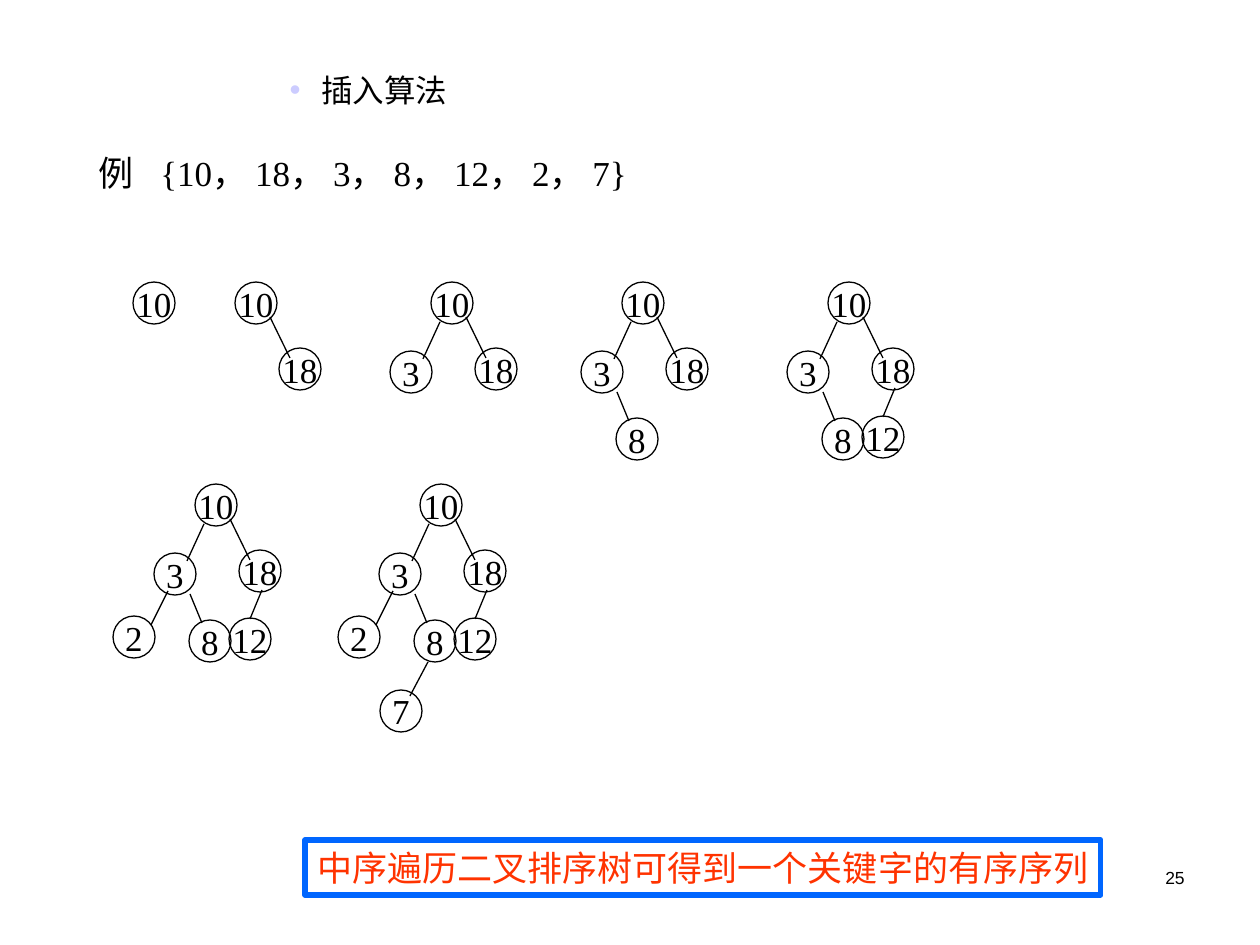
import pptx
import pptx.dml.color
import pptx.enum.shapes
import pptx.enum.text
import pptx.oxml.ns
import pptx.util
from lxml import etree

PX = 914400 // 126
COLORS = {"ink": "000000", "bullet": "CCCCFF", "frame": "0066FF", "conclusion": "FF3300"}
SERIF, SANS = "Times New Roman", "Arial"
ALIGN = pptx.enum.text.PP_ALIGN
ANCHOR = pptx.enum.text.MSO_ANCHOR
SHAPE = pptx.enum.shapes.MSO_SHAPE

HEADING = "插入算法"
EXAMPLE = "例\t{10， 18， 3， 8， 12， 2， 7}"
CONCLUSION = "中序遍历二叉排序树可得到一个关键字的有序序列"
PAGE_NUMBER = "25"

KEYS = [10, 18, 3, 8, 12, 2, 7]
# Root position of the tree after each insertion
ROOTS = [(133, 282), (235, 282), (431, 282), (622, 282), (828, 282),
         (195, 484), (420, 484)]
NODE_SIZE = 42
# Key: node offset, edge start and edge end, all measured from the root
NODES = {
    10: ((0, 0), None, None),
    18: ((44, 66), (35, 35), (55, 76)),
    3: ((-41, 69), (9, 40), (-8, 77)),
    8: ((-6, 136), (-5, 110), (7, 139)),
    12: ((34, 134), (67, 106), (55, 135)),
    2: ((-82, 132), (-27, 107), (-44, 141)),
    7: ((-40, 206), (8, 178), (-10, 212)),
}


def px(*lengths):
    return [round(length * PX) for length in lengths]


def rgb(name):
    return pptx.dml.color.RGBColor.from_string(COLORS[name])


def write(shape, text, size, font=SERIF, color="ink", align=ALIGN.LEFT,
          anchor=ANCHOR.MIDDLE, wrap=False):
    frame = shape.text_frame
    frame.text = text
    frame.word_wrap = wrap
    frame.vertical_anchor = anchor
    paragraph = frame.paragraphs[0]
    paragraph.alignment = align
    for run in paragraph.runs:
        run.font.size = pptx.util.Pt(size)
        run.font.name = font
        run.font.color.rgb = rgb(color)
    return paragraph


def add_outline(shapes, kind, box, line_color, line_width):
    shape = shapes.add_shape(kind, *px(*box))
    shape.shadow.inherit = False
    shape.fill.background()
    shape.line.color.rgb = rgb(line_color)
    shape.line.width = pptx.util.Pt(line_width)
    return shape


def add_edge(shapes, start, end):
    edge = shapes.add_connector(pptx.enum.shapes.MSO_CONNECTOR.STRAIGHT, *px(*start, *end))
    edge.line.color.rgb = rgb("ink")
    edge.line.width = pptx.util.Pt(0.75)
    etree.SubElement(edge._element.spPr, pptx.oxml.ns.qn("a:effectLst"))


def add_tree(shapes, keys, root):
    def from_root(offset):
        return root[0] + offset[0], root[1] + offset[1]

    if len(keys) > 1:
        shapes = shapes.add_group_shape().shapes
    for key in keys:
        corner, start, end = NODES[key]
        node = add_outline(shapes, SHAPE.OVAL,
                           (*from_root(corner), NODE_SIZE, NODE_SIZE), "ink", 0.75)
        write(node, str(key), 20, align=ALIGN.CENTER)
        if start:
            add_edge(shapes, from_root(start), from_root(end))


def add_heading(heading):
    heading.left, heading.top, heading.width, heading.height = px(88, 72, 1172, 45)
    heading.text_frame.auto_size = pptx.enum.text.MSO_AUTO_SIZE.NONE
    paragraph = write(heading, HEADING, 18, SANS, anchor=ANCHOR.TOP, wrap=True)
    paragraph.level = 3
    paragraph.line_spacing = 0.8
    paragraph.space_before = pptx.util.Pt(0)
    properties = paragraph._p.get_or_add_pPr()
    properties.set("marL", str(pptx.util.Inches(1.75)))
    properties.set("indent", str(pptx.util.Inches(-0.25)))
    qn = pptx.oxml.ns.qn
    bullet_color = etree.SubElement(properties, qn("a:buClr"))
    etree.SubElement(bullet_color, qn("a:srgbClr"), val=COLORS["bullet"])
    etree.SubElement(properties, qn("a:buFont"), typeface=SANS)
    etree.SubElement(properties, qn("a:buChar"), char="•")


def add_example(shapes):
    example = shapes.add_textbox(*px(86, 145, 651, 55))
    properties = write(example, EXAMPLE, 20)._p.get_or_add_pPr()
    tabs = etree.SubElement(properties, pptx.oxml.ns.qn("a:tabLst"))
    etree.SubElement(tabs, pptx.oxml.ns.qn("a:tab"), pos=str(62 * PX), algn="l")


def main():
    presentation = pptx.Presentation()
    presentation.slide_width, presentation.slide_height = px(1260, 945)
    slide = presentation.slides.add_slide(presentation.slide_layouts[1])
    title = slide.shapes.title._element
    title.getparent().remove(title)

    add_heading(slide.placeholders[1])
    add_example(slide.shapes)
    for count, root in enumerate(ROOTS, start=1):
        add_tree(slide.shapes, KEYS[:count], root)

    banner = add_outline(slide.shapes, SHAPE.RECTANGLE, (305, 840, 796, 55), "frame", 3)
    write(banner, CONCLUSION, 20, color="conclusion", align=ALIGN.CENTER)
    page = slide.shapes.add_textbox(*px(903, 861, 294, 63))
    write(page, PAGE_NUMBER, 10, SANS, align=ALIGN.RIGHT, anchor=ANCHOR.TOP, wrap=True)

    presentation.save("out.pptx")


if __name__ == "__main__":
    main()
